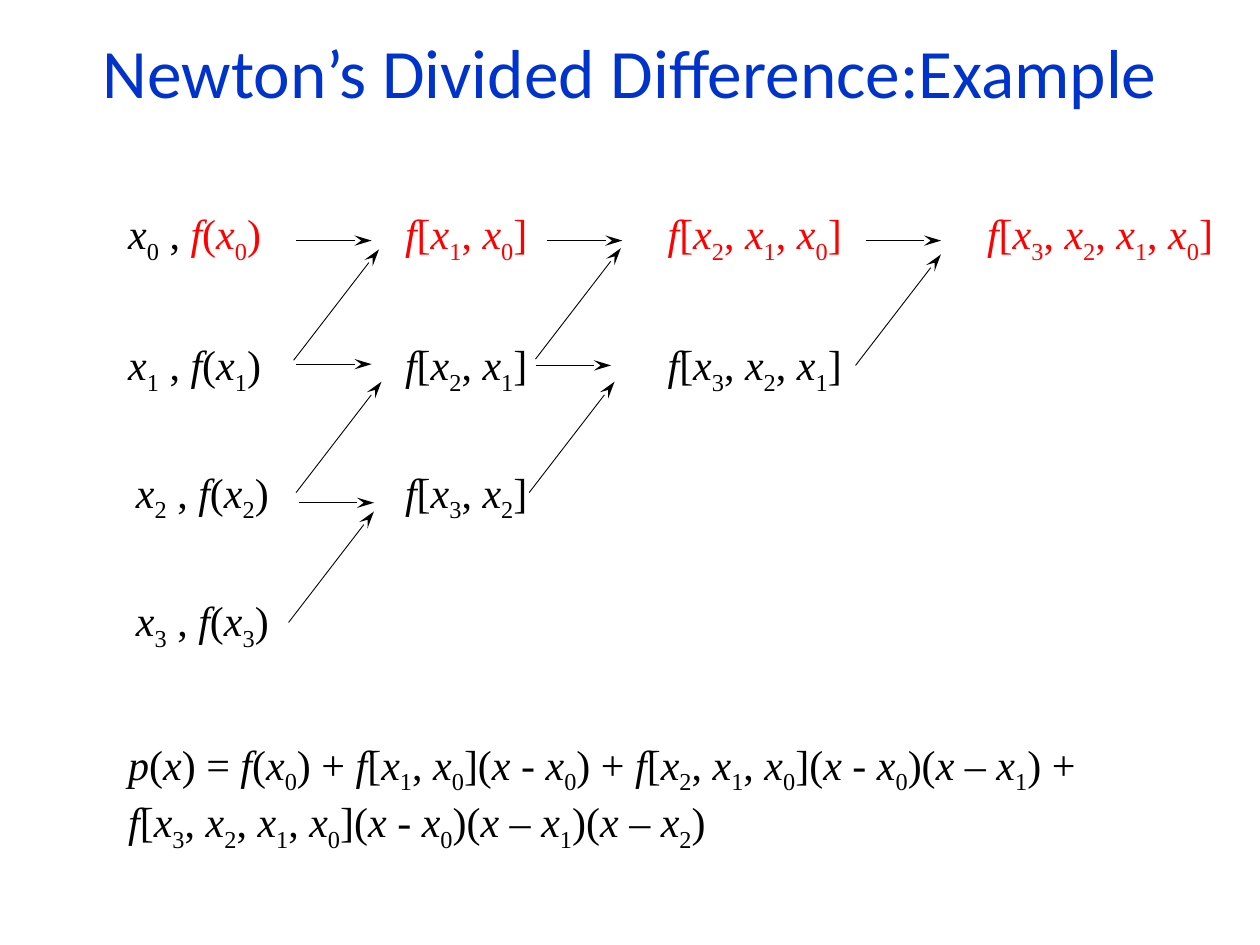
from dataclasses import dataclass
from itertools import groupby

from lxml import etree
from pptx import Presentation
from pptx.dml.color import RGBColor
from pptx.enum.shapes import MSO_CONNECTOR
from pptx.enum.text import MSO_ANCHOR, MSO_AUTO_SIZE, PP_ALIGN
from pptx.oxml.ns import qn
from pptx.util import Pt

STRAIGHT = MSO_CONNECTOR.STRAIGHT
MIDDLE = MSO_ANCHOR.MIDDLE
NO_FIT = MSO_AUTO_SIZE.NONE
LEFT, CENTER = PP_ALIGN.LEFT, PP_ALIGN.CENTER


@dataclass(frozen=True)
class Theme:
    """Colours, fonts and sizes of the slide."""
    title: RGBColor = RGBColor(0x00, 0x33, 0xCC)
    ink: RGBColor = RGBColor(0, 0, 0)
    accent: RGBColor = RGBColor(0xFF, 0, 0)
    title_font: str = "Calibri"
    math_font: str = "Times New Roman"
    title_size: float = 39.6
    math_size: float = 24
    line_width: float = 0.5


THEME = Theme()
ROW_TOPS = (115.2, 190.1, 262.8, 336.2)
POINT_LEFTS = (66.2, 66.2, 70.6, 70.6)
POINT_WIDTH, ROW_HEIGHT = 101.5, 36
DIFFERENCE_COLUMNS = ((220.3, 92.2), (367.9, 126.7), (550.1, 157))
FLAT, RISING = (43.2, 0), (48.8, -63.4)
FLAT_STARTS = ((169.2, 137.5), (169.2, 208.1), (170.6, 287.3),
               (312.5, 137.5), (494.6, 137.5), (306, 208.8))
RISING_STARTS = ((488.9, 208.8), (306, 205.2), (164.9, 355.7),
                 (169.2, 281.5), (167.8, 205.9), (302.4, 281.5))
POLYNOMIAL = ("p(x) = f(x0) + f[x1, x0](x - x0) + f[x2, x1, x0](x - x0)(x – x1) + "
              "f[x3, x2, x1, x0](x - x0)(x – x1)(x – x2)")


def format_font(font, color, **values):
    """Apply a colour and other values to a font."""
    font.color.rgb = color
    for name, value in values.items():
        setattr(font, name, value)


def symbol_kind(char):
    """Tell variables, indices and other symbols apart."""
    return "variable" if char.isalpha() else "index" if char.isdigit() else "other"


def add_title(s, text):
    """Fill and place the title placeholder."""
    sp = s.shapes.title
    sp.left, sp.top, sp.width, sp.height = map(Pt, (49.7, 16.6, 620.6, 53.3))
    tf = sp.text_frame
    tf.auto_size, tf.vertical_anchor, tf.word_wrap = NO_FIT, MIDDLE, True
    p = tf.paragraphs[0]
    p.alignment, p.line_spacing = CENTER, 0.9
    r = p.add_run()
    r.text = text
    format_font(r.font, THEME.title, name=THEME.title_font, size=Pt(THEME.title_size))


def add_formula(s, box, parts, alignment=LEFT):
    """Add a formula with italic variables and lowered indices."""
    tf = s.shapes.add_textbox(*map(Pt, box)).text_frame
    tf.word_wrap = True
    p = tf.paragraphs[0]
    p.alignment = alignment
    for text, color in parts:
        for kind, chars in groupby(text, symbol_kind):
            r = p.add_run()
            r.text = "".join(chars)
            format_font(r.font, color, name=THEME.math_font,
                        size=Pt(THEME.math_size), italic=kind == "variable")
            if kind == "index":
                r.font._element.set("baseline", "-25000")


def add_arrow(s, start, step):
    """Add a thin arrow from a start point along a step."""
    (x, y), (dx, dy) = start, step
    line = s.shapes.add_connector(STRAIGHT, *map(Pt, (x, y, x + dx, y + dy)))
    line.line.color.rgb = THEME.ink
    line.line.width = Pt(THEME.line_width)
    etree.SubElement(line.line._get_or_add_ln(), qn("a:tailEnd"),
                     type="stealth", w="med", len="lg")
    etree.SubElement(line._element.spPr, qn("a:effectLst"))


def add_points(s):
    """Add the column of nodes and function values."""
    for i, (left, top) in enumerate(zip(POINT_LEFTS, ROW_TOPS)):
        color = THEME.ink if i else THEME.accent
        add_formula(s, (left, top, POINT_WIDTH, ROW_HEIGHT),
                    [(f"x{i} , ", THEME.ink), (f"f(x{i})", color)])


def add_differences(s):
    """Add the triangle of divided differences, its top row accented."""
    for order, (left, width) in enumerate(DIFFERENCE_COLUMNS, 1):
        for i, top in enumerate(ROW_TOPS[:-order]):
            nodes = ", ".join(f"x{k}" for k in range(i + order, i - 1, -1))
            color = THEME.ink if i else THEME.accent
            add_formula(s, (left, top, width, ROW_HEIGHT),
                        [(f"f[{nodes}]", color)], CENTER)


def main():
    """Build and save the slide."""
    prs = Presentation()
    prs.slide_width, prs.slide_height = Pt(720), Pt(540)
    s = prs.slides.add_slide(prs.slide_layouts[5])
    add_title(s, "Newton’s Divided Difference:Example")
    add_points(s)
    add_differences(s)
    for starts, step in ((FLAT_STARTS, FLAT), (RISING_STARTS, RISING)):
        for start in starts:
            add_arrow(s, start, step)
    add_formula(s, (66.2, 418.3, 585.4, 65.5), [(POLYNOMIAL, THEME.ink)])
    prs.save("out.pptx")


if __name__ == "__main__":
    main()
